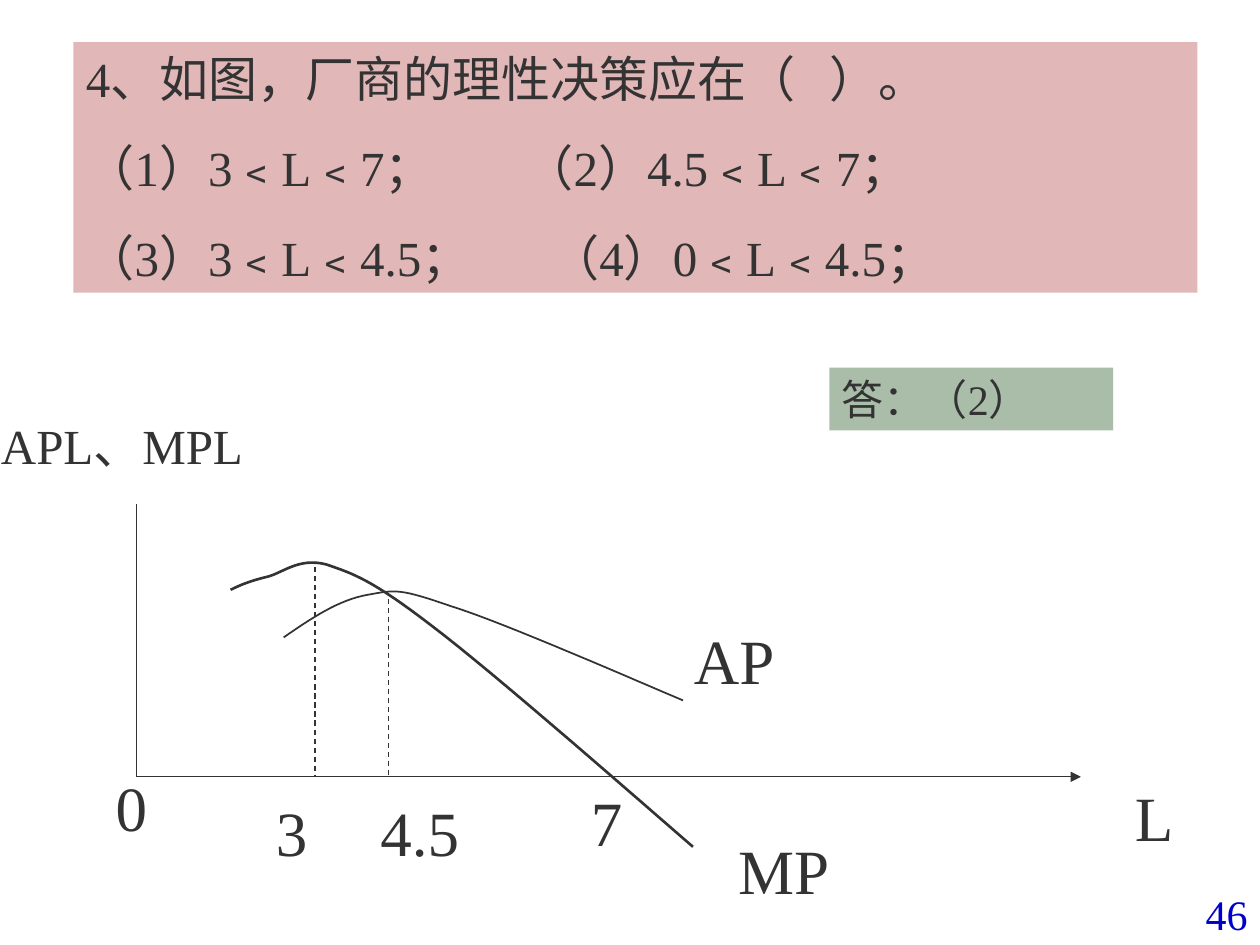
"""Build a quiz slide on the rational production stage with AP and MP curves."""
from lxml import etree
from pptx import Presentation
from pptx.dml.color import RGBColor
from pptx.enum.dml import MSO_LINE
from pptx.enum.shapes import MSO_CONNECTOR, MSO_SHAPE
from pptx.enum.text import MSO_ANCHOR, MSO_AUTO_SIZE, PP_ALIGN
from pptx.oxml.ns import qn
from pptx.util import Cm, Pt

STRAIGHT = MSO_CONNECTOR.STRAIGHT
RECTANGLE = MSO_SHAPE.RECTANGLE
DASH = MSO_LINE.DASH
TOP = MSO_ANCHOR.TOP
GROW = MSO_AUTO_SIZE.SHAPE_TO_FIT_TEXT
LEFT, RIGHT = PP_ALIGN.LEFT, PP_ALIGN.RIGHT

FONT = "Times New Roman"
INK, BLUE, ROSE, SAGE = "333333", "0000CC", "E1B7B7", "A9BDA9"
STEPS = 16
ORIGIN_X, ORIGIN_Y = 2.75, 15.66

QUESTION = [
    ("4、如图，厂商的理性决策应在（\t）。", 15),
    ("（1）3﹤L﹤7；\t（2）4.5﹤L﹤7；", 8.85),
    ("（3）3﹤L﹤4.5；\t（4）0﹤L﹤4.5；", 9.37),
]
PANELS = [
    (QUESTION, (1.48, 0.85, 22.66, 5.05), ROSE, 28),
    ([("答：（2）", None)], (16.72, 7.41, 5.72, 1.27), SAGE, 24),
]
LABELS = [
    ("L", (22.63, 15.57, 1.35, 1.78), 36),
    ("APL、MPL", (-0.23, 8.26, 6, 1.45), 28),
    ("0", (2.08, 15.37, 1.2, 1.78), 36),
    ("MP", (14.63, 16.64, 2.4, 1.78), 36),
    ("AP", (13.74, 12.4, 2.2, 1.78), 36),
    ("3", (5.31, 15.88, 1.2, 1.78), 36),
    ("7", (11.66, 15.67, 1.2, 1.78), 36),
    ("4.5", (7.42, 15.88, 2.25, 1.78), 36),
]
PAGE_NUMBER = ("46", (17.1, 17.78, 8.3, 1.27), 24)
AXES = [
    ((ORIGIN_X, ORIGIN_Y), (21.79, ORIGIN_Y), True),
    ((ORIGIN_X, 10.16), (ORIGIN_X, ORIGIN_Y), False),
]
PEAKS = [(7.83, 12.07), (6.35, 11.43)]
MARGINAL = [
    (4.65, 11.89), (4.85, 11.79), (5.05, 11.71), (5.38, 11.63),
    (5.69, 11.56), (6.02, 11.23), (6.58, 11.38),
    (7.11, 11.56), (7.49, 11.68), (8.71, 12.62),
    (9.96, 13.56), (13.11, 16.33), (13.97, 17.07),
]
AVERAGE = [
    (5.72, 12.85), (6.27, 12.47), (6.83, 12.09), (7.42, 11.99),
    (7.98, 11.89), (8.05, 11.86), (9.09, 12.22),
    (10.16, 12.55), (12.98, 13.79), (13.77, 14.12),
]
CURVES = [(MARGINAL, 1.5), (AVERAGE, 1)]


def color(value):
    return RGBColor.from_string(value)


def apply(target, values):
    for name, value in values.items():
        setattr(target, name, value)


def write(box, lines, size, ink=INK, wrap=True, align=LEFT, grow=True):
    frame = box.text_frame
    apply(frame, {"word_wrap": wrap, "vertical_anchor": TOP})
    if grow:
        frame.auto_size = GROW
    for index, (text, tab) in enumerate(lines):
        para = frame.add_paragraph() if index else frame.paragraphs[0]
        para.alignment = align
        if index:
            para.space_before = Pt(size * 0.625)
        if tab:
            stops = etree.SubElement(para._p.get_or_add_pPr(), qn("a:tabLst"))
            etree.SubElement(stops, qn("a:tab"), pos=str(Cm(tab)), algn="l")
        span = para.add_run()
        span.text = text
        apply(span.font, {"name": FONT, "size": Pt(size)})
        span.font.color.rgb = color(ink)


def add_label(page, text, place, size, **style):
    box = page.shapes.add_textbox(*map(Cm, place))
    write(box, [(text, None)], size, **style)


def add_panel(page, lines, place, fill, size):
    box = page.shapes.add_shape(RECTANGLE, *map(Cm, place))
    box.shadow.inherit = False
    box.fill.solid()
    box.fill.fore_color.rgb = color(fill)
    box.line.fill.background()
    write(box, lines, size)


def add_line(page, start, end, arrow=False, dashed=False):
    line = page.shapes.add_connector(STRAIGHT, *map(Cm, start + end))
    line.line.color.rgb = color(INK)
    line.line.width = Pt(0.75)
    if dashed:
        line.line.dash_style = DASH
    if arrow:
        etree.SubElement(line.line._get_or_add_ln(), qn("a:tailEnd"), type="triangle")
    etree.SubElement(line._element.spPr, qn("a:effectLst"))


def bezier(corners, t):
    weights = ((1 - t) ** 3, 3 * t * (1 - t) ** 2, 3 * t * t * (1 - t), t ** 3)
    return tuple(
        Cm(sum(weight * value for weight, value in zip(weights, axis)))
        for axis in zip(*corners)
    )


def add_curve(page, controls, width):
    points = [
        bezier(controls[first:first + 4], step / STEPS)
        for first in range(0, len(controls) - 1, 3)
        for step in range(1, STEPS + 1)
    ]
    builder = page.shapes.build_freeform(*map(Cm, controls[0]))
    builder.add_line_segments(points, close=False)
    curve = builder.convert_to_shape()
    curve.shadow.inherit = False
    curve.fill.background()
    curve.line.color.rgb = color(INK)
    curve.line.width = Pt(width)


def main():
    deck = Presentation()
    apply(deck, {"slide_width": Cm(25.4), "slide_height": Cm(19.05)})
    page = deck.slides.add_slide(deck.slide_layouts[6])
    add_label(page, *PAGE_NUMBER, ink=BLUE, align=RIGHT, grow=False)
    for start, end, arrow in AXES:
        add_line(page, start, end, arrow=arrow)
    for controls, width in CURVES:
        add_curve(page, controls, width)
    for text, place, size in LABELS:
        add_label(page, text, place, size, wrap=False)
    for x, y in PEAKS:
        add_line(page, (x, y), (x, ORIGIN_Y), dashed=True)
    for lines, place, fill, size in PANELS:
        add_panel(page, lines, place, fill, size)
    deck.save("out.pptx")


if __name__ == "__main__":
    main()
